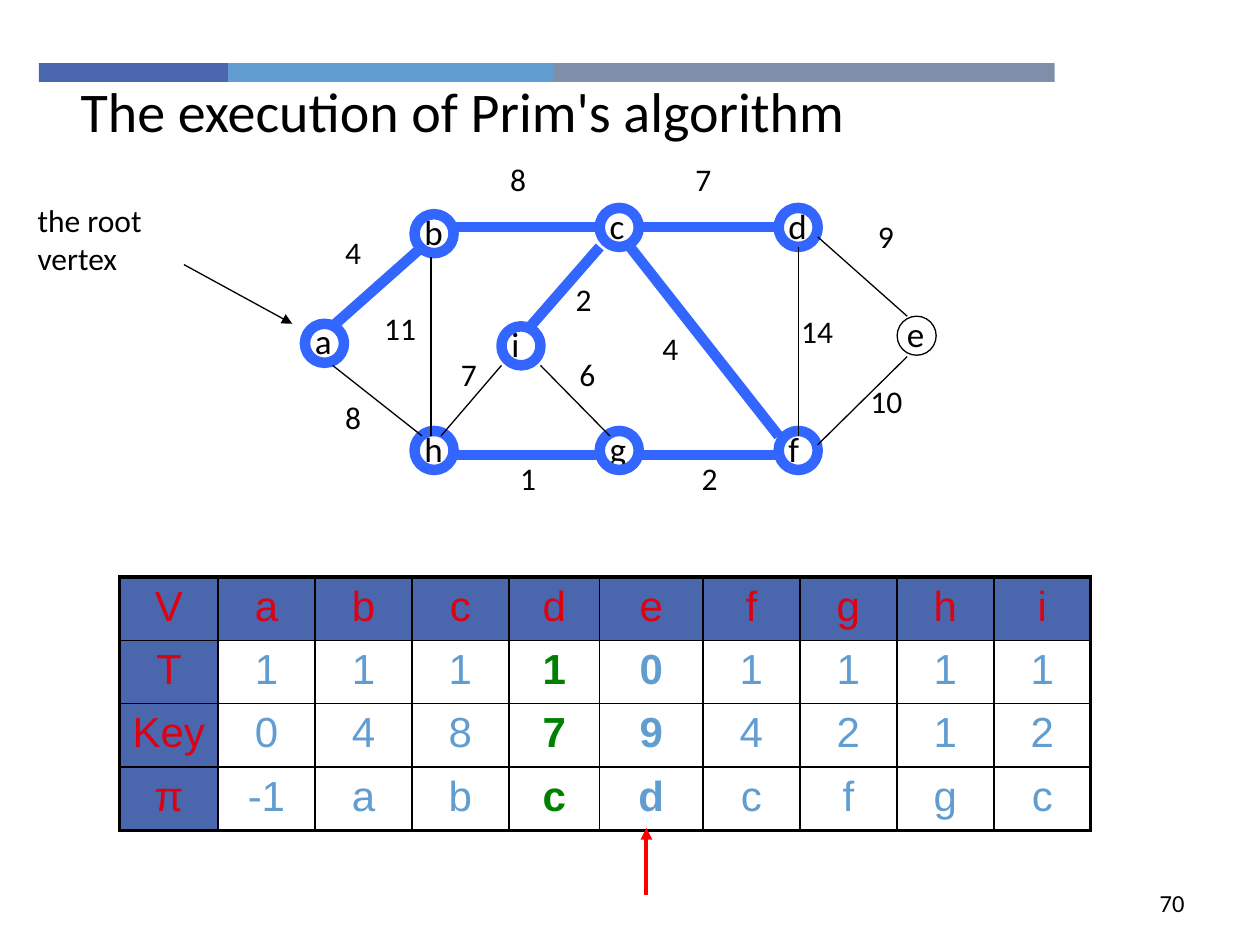
"""Build a slide that shows one step of Prim's algorithm on a weighted graph."""
from lxml.etree import SubElement
from pptx import Presentation
from pptx.dml.color import RGBColor
from pptx.enum.shapes import MSO_CONNECTOR as Connector, MSO_SHAPE as Shape
from pptx.enum.text import MSO_ANCHOR as Anchor, PP_ALIGN as Align
from pptx.oxml.ns import qn
from pptx.util import Inches, Pt

BLACK = RGBColor(0x00, 0x00, 0x00)
NAVY = RGBColor(0x4A, 0x66, 0xAC)
SKY = RGBColor(0x62, 0x9D, 0xD1)
SLATE = RGBColor(0x7F, 0x8F, 0xA9)
TREE_BLUE = RGBColor(0x33, 0x66, 0xFF)
CRIMSON = RGBColor(0xDD, 0x01, 0x11)
GREEN = RGBColor(0x00, 0x80, 0x00)
RED = RGBColor(0xFF, 0x00, 0x00)
GRID = Inches(0.1)
COLUMNS, ROWS = 100, 75
NODE = 3.1


def write(shape, text, size, font_name="Calibri", color=BLACK, align=Align.LEFT,
          anchor=Anchor.TOP, bold=False):
    frame = shape.text_frame
    frame.text = text
    frame.word_wrap = True
    paragraph = frame.paragraphs[0]
    paragraph.alignment = align
    font = paragraph.runs[0].font
    for name, value in {"name": font_name, "size": Pt(size), "bold": bold}.items():
        setattr(font, name, value)
    font.color.rgb = color
    frame.vertical_anchor = anchor


def draw_line(x1, y1, x2, y2, color=BLACK, width=0.75, arrow=False):
    ends = [round(value * GRID) for value in (x1, y1, x2, y2)]
    connector = slide.shapes.add_connector(Connector.STRAIGHT, *ends)
    connector.line.color.rgb = color
    connector.line.width = Pt(width)
    if arrow:
        SubElement(connector.line._get_or_add_ln(), qn("a:tailEnd"), type="triangle")
    SubElement(connector._element.spPr, qn("a:effectLst"))


presentation = Presentation()
presentation.slide_width = COLUMNS * GRID
presentation.slide_height = ROWS * GRID
slide = presentation.slides.add_slide(presentation.slide_layouts[5])

left = 3.1
for width, color in ((15, NAVY), (25.8, SKY), (39.8, SLATE)):
    band = slide.shapes.add_shape(Shape.RECTANGLE, *(round(value * GRID) for value in (left, 5, width, 1.5)))
    band.shadow.inherit = False
    band.fill.solid()
    band.fill.fore_color.rgb = color
    band.line.fill.background()
    left += width

title = slide.shapes.title
for name, value in {"left": 5.4, "top": 5.5, "width": 85.8, "height": 6.4}.items():
    setattr(title, name, round(value * GRID))
write(title, "The execution of Prim's algorithm", 32, anchor=Anchor.MIDDLE)

nodes = {
    "a": (24.2, 25.7), "b": (32.9, 17), "h": (32.9, 34.2),
    "c": (47.6, 16.5), "d": (61.8, 16.5), "e": (71.2, 25.1),
    "f": (61.8, 34.2), "g": (47.6, 34.2), "i": (39.8, 25.9),
}
weights = [
    ("4", 26.4, 18), ("8", 39.5, 12.2), ("7", 54.2, 12.2), ("9", 68.7, 16.7),
    ("10", 68.1, 29.8), ("14", 62.6, 24.3), ("4", 51.6, 25.6), ("2", 44.7, 21.7),
    ("2", 54.7, 35.9), ("6", 45, 27.7), ("1", 40.3, 35.9), ("7", 35.6, 27.7),
    ("11", 29.5, 24), ("8", 26.4, 31.1),
]
labels = [("the root vertex", 2, 15.5, 13.4, 9, 18, Align.LEFT),
          ("70", 71.7, 70, 23.3, 3.5, 14, Align.RIGHT)]
labels += [(name, x - 0.2, y - 0.8, 3.6, 4.3, 20, Align.LEFT) for name, (x, y) in nodes.items()]
labels += [(text, x, y, 2 + 1.4 * len(text), 4, 18, Align.LEFT) for text, x, y in weights]
for text, x, y, width, height, size, align in labels:
    box = slide.shapes.add_textbox(*(round(value * GRID) for value in (x, y, width, height)))
    write(box, text, size, align=align)

for name, (x, y) in nodes.items():
    circle = slide.shapes.add_shape(Shape.OVAL, *(round(value * GRID) for value in (x, y, NODE, NODE)))
    circle.shadow.inherit = False
    circle.fill.background()
    circle.line.color.rgb = BLACK if name == "e" else TREE_BLUE
    circle.line.width = Pt(0.75 if name == "e" else 6)

tree_edges = [
    (26.4, 25.9, 33.5, 19.6), (35.8, 18, 47.6, 18), (35.8, 36.1, 47.6, 36.1),
    (50.8, 36.1, 61.8, 36.1), (50, 19.6, 61.8, 34.6), (50.8, 18, 61.8, 18),
    (42.1, 25.9, 47.6, 19.6),
]
other_edges = [
    (26.4, 29, 33.5, 34.6), (34.2, 20.4, 34.2, 34.6), (63.4, 19.6, 63.4, 34.6),
    (64.9, 18.8, 72, 25.1), (64.9, 35.3, 72, 28.3), (42.9, 29, 48.4, 34.6),
    (35, 34.6, 39.8, 29),
]
for edge in tree_edges:
    draw_line(*edge, color=TREE_BLUE, width=6)
for edge in other_edges:
    draw_line(*edge)
draw_line(14.6, 21, 23.2, 25.7, arrow=True)

table_rows = [
    ["V", "a", "b", "c", "d", "e", "f", "g", "h", "i"],
    ["T", "1", "1", "1", "1", "0", "1", "1", "1", "1"],
    ["Key", "0", "4", "8", "7", "9", "4", "2", "1", "2"],
    ["π", "-1", "a", "b", "c", "d", "c", "f", "g", "c"],
]
column_widths = [7.8, 7.7, 7.7, 7.7, 7.2, 8.2, 7.7, 7.7, 7.7, 7.7]
last_row, last_column = len(table_rows) - 1, len(column_widths) - 1
table = slide.shapes.add_table(
    len(table_rows), len(column_widths),
    *(round(value * GRID) for value in (9.5, 45.8, sum(column_widths), 20.1))).table
table.first_row = table.horz_banding = False
for column, width in zip(table.columns, column_widths):
    column.width = round(width * GRID)
for r, values in enumerate(table_rows):
    for c, value in enumerate(values):
        cell = table.cell(r, c)
        cell.margin_left = cell.margin_right = GRID // 2
        header = r == 0 or c == 0
        color = CRIMSON if header else GREEN if c == 4 else SKY
        write(cell, value, 24, "Arial", color, Align.CENTER, bold=not header and c in (4, 5))
        if header:
            cell.fill.solid()
            cell.fill.fore_color.rgb = NAVY
        else:
            cell.fill.background()
        properties = cell._tc.get_or_add_tcPr()
        outer_sides = {"L": c == 0, "R": c == last_column, "T": r == 0, "B": r == last_row}
        for position, (side, outer) in enumerate(outer_sides.items()):
            border = SubElement(properties, qn(f"a:ln{side}"), w=str(Pt(2.25 if outer else 1)))
            SubElement(SubElement(border, qn("a:solidFill")), qn("a:srgbClr"), val=str(BLACK))
            properties.insert(position, border)

draw_line(51.3, 71, 51.3, 65.7, color=RED, width=2.25, arrow=True)

presentation.save("out.pptx")
